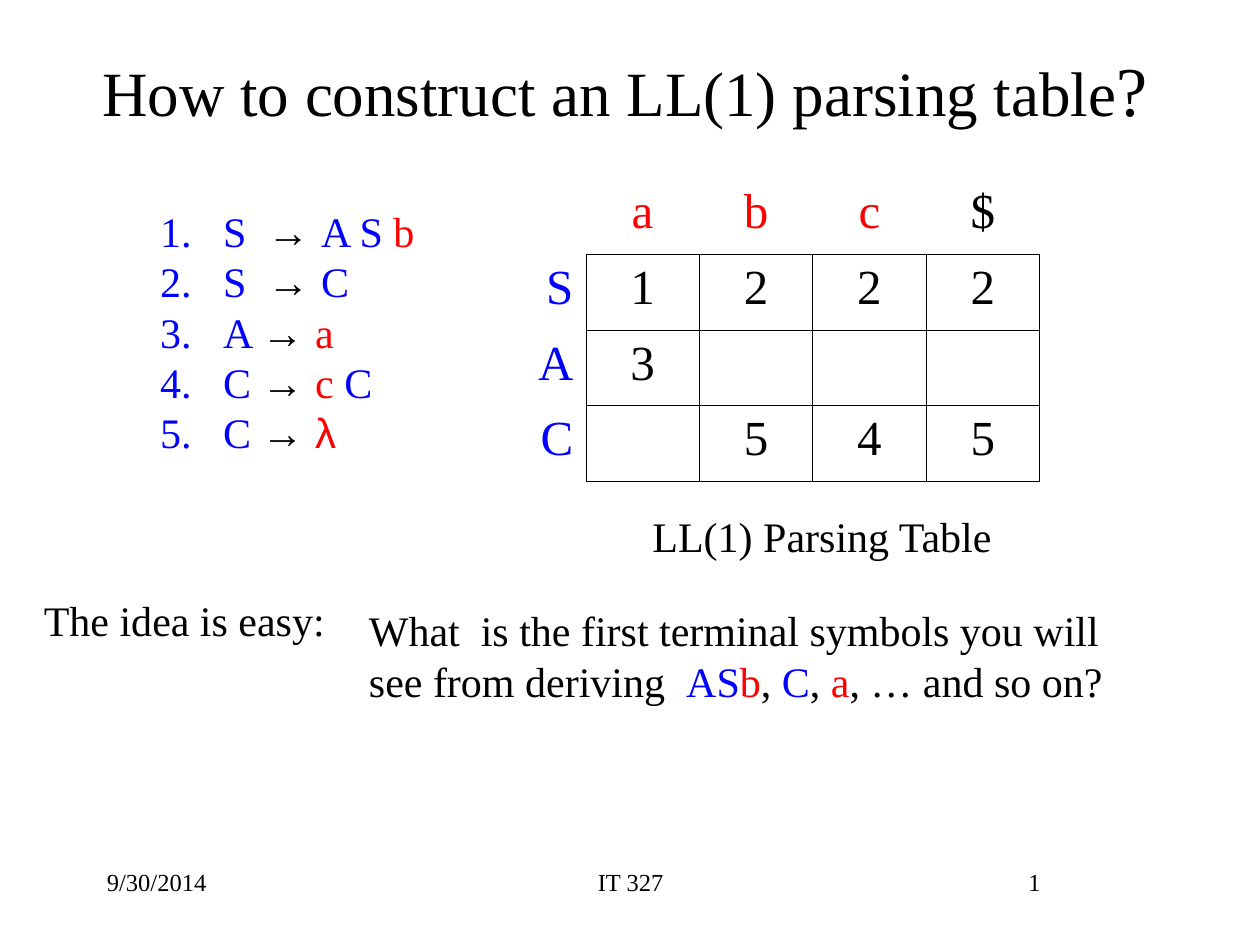
from dataclasses import dataclass

from lxml import etree
from pptx import Presentation
from pptx.dml.color import RGBColor
from pptx.enum.text import MSO_ANCHOR, MSO_AUTO_SIZE, PP_ALIGN
from pptx.oxml.ns import qn
from pptx.util import Inches, Pt

LEFT, CENTER, RIGHT = PP_ALIGN.LEFT, PP_ALIGN.CENTER, PP_ALIGN.RIGHT
MIDDLE = MSO_ANCHOR.MIDDLE
NO_FIT, GROW = MSO_AUTO_SIZE.NONE, MSO_AUTO_SIZE.SHAPE_TO_FIT_TEXT


@dataclass(frozen=True)
class Theme:
    font: str = "Times New Roman"
    symbol_font: str = "Arial"
    text: str = "000000"
    nonterminal: str = "0000FF"
    terminal: str = "FF0000"
    title_size: int = 36
    title_mark_size: int = 40
    body_size: int = 24
    table_size: int = 28
    footer_size: int = 14
    border_width: float = 0.45


THEME = Theme()
BLACK, BLUE, RED = THEME.text, THEME.nonterminal, THEME.terminal

# Each production is a left side and the coloured parts of its right side
PRODUCTIONS = [
    ("S  ", [("A S ", BLUE), ("b", RED)]),
    ("S  ", [("C", BLUE)]),
    ("A ", [("a", RED)]),
    ("C ", [("c ", RED), ("C", BLUE)]),
    ("C ", [("λ", RED, THEME.symbol_font)]),
]
PARSING_TABLE = [
    ["", "a", "b", "c", "$"],
    ["S", "1", "2", "2", "2"],
    ["A", "3", "", "", ""],
    ["C", "", "5", "4", "5"],
]
QUESTION = [
    ("What  is the first terminal symbols you will see from deriving  ", BLACK),
    ("AS", BLUE), ("b", RED), (", ", BLACK), ("C", BLUE), (",", BLACK),
    (" a", RED), (", … and so on?", BLACK),
]


def place(shape, left, top, width, height):
    shape.left, shape.top = Inches(left), Inches(top)
    shape.width, shape.height = Inches(width), Inches(height)


def add_run(paragraph, text, size, color=BLACK, font=THEME.font):
    run = paragraph.add_run()
    run.text = text
    run.font.name = font
    run.font.size = Pt(size)
    run.font.color.rgb = RGBColor.from_string(color)


def add_label(slide, box, parts, size=THEME.body_size, align=LEFT, wrap=False, fit=GROW):
    shape = slide.shapes.add_textbox(*map(Inches, box))
    frame = shape.text_frame
    frame.word_wrap = wrap
    frame.auto_size = fit
    paragraph = frame.paragraphs[0]
    paragraph.alignment = align
    for text, color in parts:
        add_run(paragraph, text, size, color)


def set_title(slide):
    title = slide.shapes.title
    place(title, 0.5, 0.33, 8.92, 0.75)
    frame = title.text_frame
    frame.auto_size = NO_FIT
    frame.vertical_anchor = MIDDLE
    paragraph = frame.paragraphs[0]
    paragraph.alignment = CENTER
    add_run(paragraph, "How to construct an LL(1) parsing table", THEME.title_size)
    add_run(paragraph, "?", THEME.title_mark_size)


def number_paragraph(paragraph, color):
    properties = paragraph._p.get_or_add_pPr()
    properties.set("marL", str(Inches(0.5)))
    properties.set("indent", str(Inches(-0.5)))
    bullet_color = etree.SubElement(properties, qn("a:buClr"))
    etree.SubElement(bullet_color, qn("a:srgbClr"), val=color)
    etree.SubElement(properties, qn("a:buFont"), typeface=THEME.font)
    etree.SubElement(properties, qn("a:buAutoNum"), type="arabicPeriod")


def set_grammar(slide):
    body = slide.placeholders[1]
    place(body, 1.17, 1.58, 2.23, 2.1)
    frame = body.text_frame
    frame.word_wrap = False
    frame.auto_size = GROW
    for index, (left_side, right_side) in enumerate(PRODUCTIONS):
        paragraph = frame.add_paragraph() if index else frame.paragraphs[0]
        paragraph.space_before = Pt(0)
        number_paragraph(paragraph, BLUE)
        add_run(paragraph, left_side, THEME.body_size, BLUE)
        add_run(paragraph, "→ ", THEME.body_size, BLACK, THEME.symbol_font)
        for text, *style in right_side:
            add_run(paragraph, text, THEME.body_size, *style)


def set_borders(cell, drawn_edges):
    properties = cell._tc.get_or_add_tcPr()
    for edge in "LRTB":
        line = etree.SubElement(properties, qn(f"a:ln{edge}"), w=str(Pt(THEME.border_width)))
        if edge in drawn_edges:
            fill = etree.SubElement(line, qn("a:solidFill"))
            etree.SubElement(fill, qn("a:srgbClr"), val=BLACK)
        else:
            etree.SubElement(line, qn("a:noFill"))


def add_parsing_table(slide):
    rows, columns = len(PARSING_TABLE), len(PARSING_TABLE[0])
    table = slide.shapes.add_table(
        rows, columns, Inches(3.75), Inches(1.42), Inches(0.9 * columns), Inches(0.6 * rows)
    ).table
    table.first_row = table.horz_banding = False
    for row, values in enumerate(PARSING_TABLE):
        for column, value in enumerate(values):
            cell = table.cell(row, column)
            # Only the entries are ruled; headings share their edge with them
            edges = ("LT" if row and column else "") + ("R" if row else "") + ("B" if column else "")
            set_borders(cell, edges)
            cell.fill.background()
            if not value:
                continue
            paragraph = cell.text_frame.paragraphs[0]
            paragraph.alignment = CENTER if column else RIGHT
            paragraph.space_before = Pt(7)
            color = BLUE if column == 0 else RED if row == 0 and value != "$" else BLACK
            add_run(paragraph, value, THEME.table_size, color)


def add_footer(slide):
    for left, width, text, align in [
        (0.75, 2.08, "9/30/2014", LEFT),
        (3.42, 3.17, "IT 327", CENTER),
        (7.17, 2.08, "1", CENTER),
    ]:
        add_label(slide, (left, 6.83, width, 0.5), [(text, BLACK)],
                  THEME.footer_size, align, wrap=True, fit=NO_FIT)


def main():
    presentation = Presentation()
    presentation.slide_width, presentation.slide_height = Inches(10), Inches(7.5)
    slide = presentation.slides.add_slide(presentation.slide_layouts[1])

    # Title, grammar and its parsing table
    set_title(slide)
    set_grammar(slide)
    add_parsing_table(slide)
    add_label(slide, (5.08, 4, 2.92, 0.5), [("LL(1) Parsing Table", BLACK)])

    # Idea behind the construction
    add_label(slide, (2.83, 4.75, 6.08, 0.9), QUESTION, wrap=True)
    add_label(slide, (0.25, 4.67, 2.43, 0.5), [("The idea is easy:", BLACK)])

    add_footer(slide)
    presentation.save("out.pptx")


if __name__ == "__main__":
    main()
